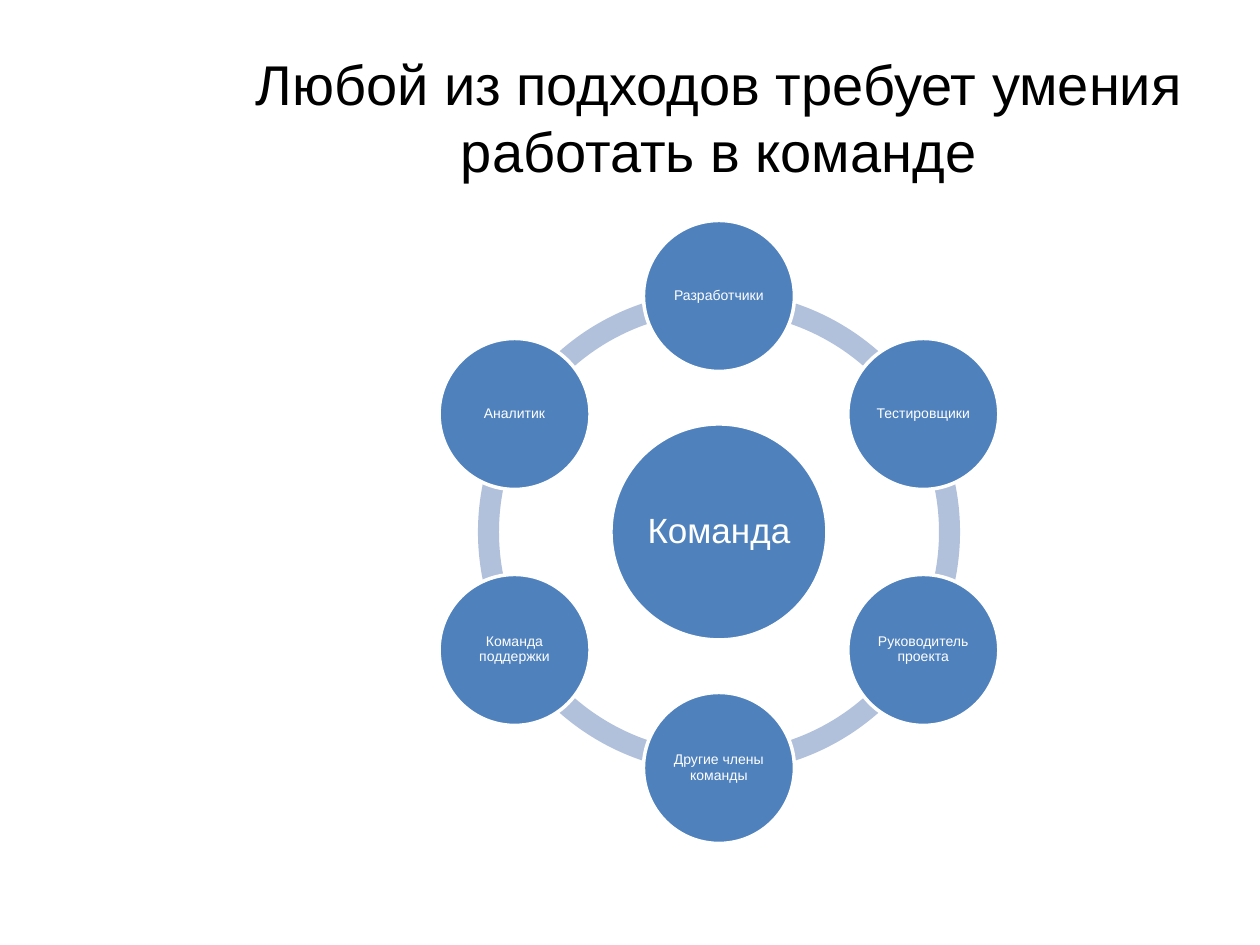
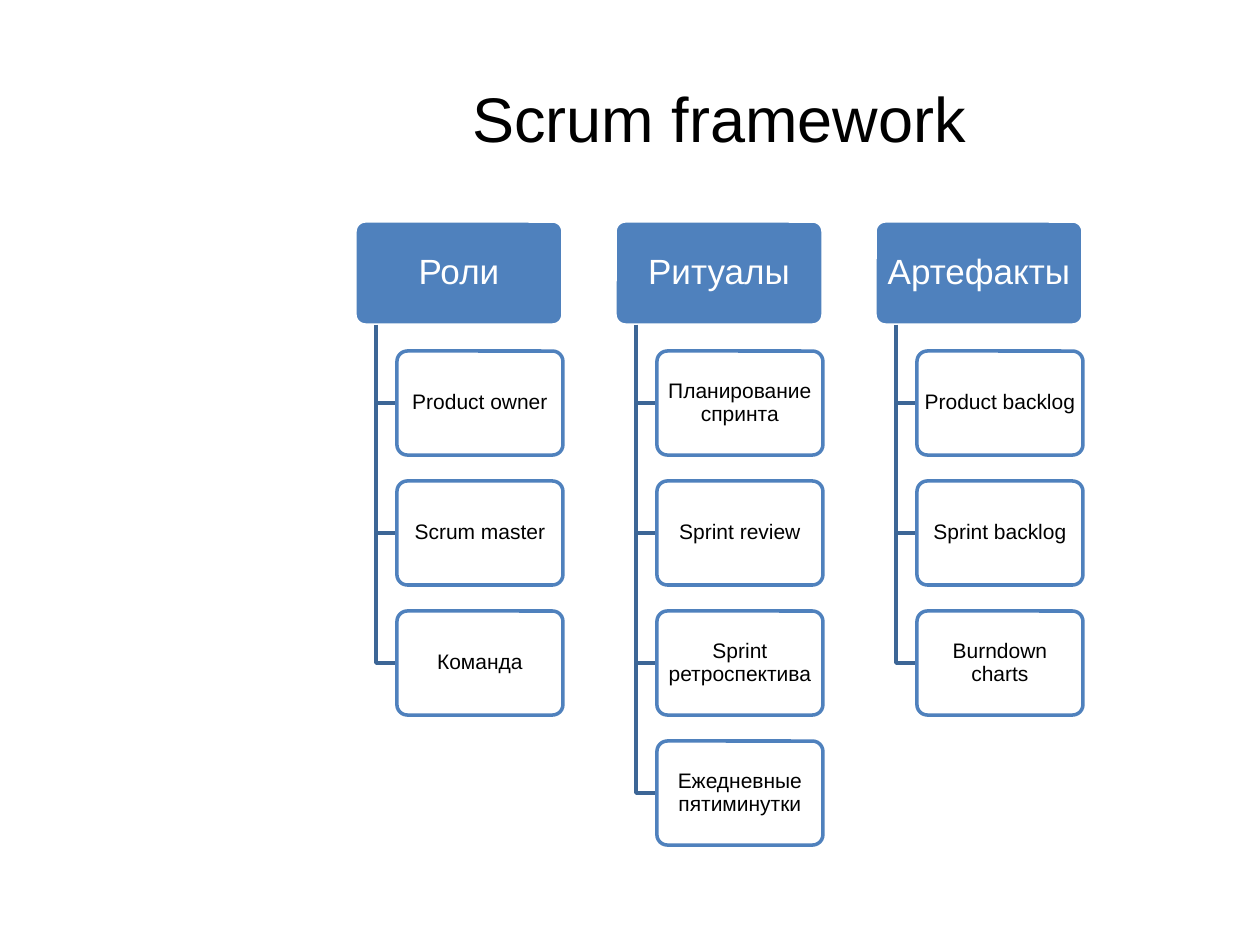
"""Build two slides about teamwork and the Scrum framework."""
from dataclasses import dataclass
from math import cos, radians, sin

from lxml import etree
from pptx import Presentation
from pptx.dml.color import RGBColor
from pptx.enum.shapes import MSO_SHAPE
from pptx.enum.text import MSO_ANCHOR, MSO_AUTO_SIZE, PP_ALIGN
from pptx.oxml.ns import qn
from pptx.util import Pt

ARC, CIRCLE, CARD = MSO_SHAPE.BLOCK_ARC, MSO_SHAPE.OVAL, MSO_SHAPE.ROUNDED_RECTANGLE
MIDDLE, CENTER, FIXED = MSO_ANCHOR.MIDDLE, PP_ALIGN.CENTER, MSO_AUTO_SIZE.NONE

TEAM_TITLE = "Любой из подходов требует умения работать в команде"
TEAM = "Команда"
MEMBERS = [
    "Разработчики",
    "Тестировщики",
    "Руководитель проекта",
    "Другие члены команды",
    "Команда поддержки",
    "Аналитик",
]
SCRUM_TITLE = "Scrum framework"
SCRUM = {
    "Роли": ["Product owner", "Scrum master", "Команда"],
    "Ритуалы": [
        "Планирование спринта",
        "Sprint review",
        "Sprint ретроспектива",
        "Ежедневные пятиминутки",
    ],
    "Артефакты": ["Product backlog", "Sprint backlog", "Burndown charts"],
}


@dataclass(frozen=True)
class Theme:
    """Colours, font and type sizes of the deck."""
    font: str = "Arial"
    ink: str = "000000"
    paper: str = "FFFFFF"
    accent: str = "4F81BD"
    ring: str = "B2C1DB"
    branch: str = "3D6696"
    line: int = 2
    long_title: int = 32
    title: int = 36
    heading: int = 20
    item: int = 12
    member: int = 8
    diagram_spacing: float = 0.9


THEME = Theme()
PX_PER_INCH, EMU_PER_INCH = 126, 914400
SLIDE_W, SLIDE_H = 1260, 945
TITLE_BOX = (220, 38, 998, 158)

HUB_X, HUB_Y, HUB_SIZE = 719, 532, 216
RING_SIZE, RING_WIDTH = 482, 21
ORBIT, MEMBER_SIZE = 236, 151
TOP_ANGLE = -90
ADJUSTMENT_PER_DEGREE = 0.6

COLUMN_LEFT, COLUMN_TOP, COLUMN_PITCH = 355, 221, 260
CARD_H, ROW_PITCH = 104, 130
HEADING_W, ITEM_W = 208, 166
ITEM_INDENT, BRANCH_INDENT = 42, 21
CORNER = 0.1
ITEM_OPACITY = 90

HEADING_TEXT = dict(size=THEME.heading, color=THEME.paper, after=8,
                    spacing=THEME.diagram_spacing)
HUB_TEXT = dict(HEADING_TEXT, margins=(3, 3))
COLUMN_TEXT = dict(HEADING_TEXT, margins=(6, 3))
MEMBER_TEXT = dict(HEADING_TEXT, size=THEME.member, margins=(2, 2), after=3)
ITEM_TEXT = dict(HEADING_TEXT, size=THEME.item, color=THEME.ink, margins=(3, 2), after=5)


def px(length):
    """Turn pixels into EMU."""
    return round(length * EMU_PER_INCH / PX_PER_INCH)


def write(host, text, *, size, color=THEME.ink, margins=None, spacing=None, after=None):
    """Put one centred paragraph into a shape or placeholder."""
    frame = host.text_frame
    frame.word_wrap, frame.auto_size, frame.vertical_anchor = True, FIXED, MIDDLE
    if margins:
        side, end = map(px, margins)
        frame.margin_left = frame.margin_right = side
        frame.margin_top = frame.margin_bottom = end
    frame.text = text
    paragraph = frame.paragraphs[0]
    paragraph.alignment = CENTER
    if spacing:
        paragraph.line_spacing = spacing
    if after:
        paragraph.space_after = Pt(after)
    font = paragraph.runs[0].font
    font.name, font.size = THEME.font, Pt(size)
    font.color.rgb = RGBColor.from_string(color)


def paint(part, fill=None, line=None, opacity=None):
    """Set the fill and outline of a shape and drop its shadow."""
    part.shadow.inherit = False
    if fill:
        part.fill.solid()
        part.fill.fore_color.rgb = RGBColor.from_string(fill)
    else:
        part.fill.background()
    if opacity:
        tint = part.element.spPr.find(qn("a:solidFill"))[0]
        etree.SubElement(tint, qn("a:alpha")).set("val", str(opacity * 1000))
    if line:
        part.line.color.rgb = RGBColor.from_string(line)
        part.line.width = Pt(THEME.line)
    else:
        part.line.fill.background()


def add_part(slide, kind, box, adjustments=(), **look):
    """Add a painted preset shape."""
    part = slide.shapes.add_shape(kind, *map(px, box))
    for index, value in enumerate(adjustments):
        part.adjustments[index] = value
    paint(part, **look)
    return part


def add_titled_slide(deck, title, size):
    """Add a title-only slide."""
    slide = deck.slides.add_slide(deck.slide_layouts[5])
    heading = slide.shapes.title
    heading.left, heading.top, heading.width, heading.height = map(px, TITLE_BOX)
    write(heading, title, size=size)
    return slide


def square_around(x, y, side):
    """Return the box of a square with the given centre."""
    return x - side / 2, y - side / 2, side, side


def add_disc(slide, x, y, diameter, text, text_format):
    """Add a labelled circle around a centre."""
    disc = add_part(slide, CIRCLE, square_around(x, y, diameter),
                    fill=THEME.accent, line=THEME.paper)
    write(disc, text, **text_format)


def add_ring_segment(slide, start, end):
    """Add the part of the ring between two angles in degrees."""
    turns = [angle % 360 * ADJUSTMENT_PER_DEGREE for angle in (start, end)]
    add_part(slide, ARC, square_around(HUB_X, HUB_Y, RING_SIZE),
             (*turns, RING_WIDTH / RING_SIZE), fill=THEME.ring)


def build_team(deck):
    """Draw the members on a ring around the team."""
    slide = add_titled_slide(deck, TEAM_TITLE, THEME.long_title)
    step = 360 / len(MEMBERS)
    angles = [TOP_ANGLE + index * step for index in range(len(MEMBERS))]
    for angle in angles:
        add_ring_segment(slide, angle, angle + step)
    add_disc(slide, HUB_X, HUB_Y, HUB_SIZE, TEAM, HUB_TEXT)
    for member, angle in zip(MEMBERS, angles):
        x = HUB_X + ORBIT * cos(radians(angle))
        y = HUB_Y + ORBIT * sin(radians(angle))
        add_disc(slide, x, y, MEMBER_SIZE, member, MEMBER_TEXT)


def add_card(slide, box, text, text_format, **look):
    """Add a labelled card with rounded corners."""
    card = add_part(slide, CARD, box, (CORNER,), **look)
    write(card, text, **text_format)


def add_branch(slide, start, corner, end):
    """Add an elbow line through three points."""
    first, *rest = [tuple(map(px, point)) for point in (start, corner, end)]
    outline = slide.shapes.build_freeform(*first)
    outline.add_line_segments(rest, close=False)
    paint(outline.convert_to_shape(), line=THEME.branch)


def add_column(slide, left, topic, items):
    """Add a topic card with its items branching off below."""
    add_card(slide, (left, COLUMN_TOP, HEADING_W, CARD_H), topic, COLUMN_TEXT,
             fill=THEME.accent, line=THEME.paper)
    trunk_x, item_left = left + BRANCH_INDENT, left + ITEM_INDENT
    trunk_top = COLUMN_TOP + CARD_H
    for row, item in enumerate(items, 1):
        top = COLUMN_TOP + row * ROW_PITCH
        middle = top + CARD_H / 2
        add_branch(slide, (trunk_x, trunk_top), (trunk_x, middle), (item_left, middle))
        add_card(slide, (item_left, top, ITEM_W, CARD_H), item, ITEM_TEXT,
                 fill=THEME.paper, line=THEME.accent, opacity=ITEM_OPACITY)


def build_scrum(deck):
    """Draw one branching column per Scrum topic."""
    slide = add_titled_slide(deck, SCRUM_TITLE, THEME.title)
    for index, (topic, items) in enumerate(SCRUM.items()):
        add_column(slide, COLUMN_LEFT + index * COLUMN_PITCH, topic, items)


def main():
    """Build and save the deck."""
    deck = Presentation()
    deck.slide_width, deck.slide_height = px(SLIDE_W), px(SLIDE_H)
    build_team(deck)
    build_scrum(deck)
    deck.save("out.pptx")


if __name__ == "__main__":
    main()
